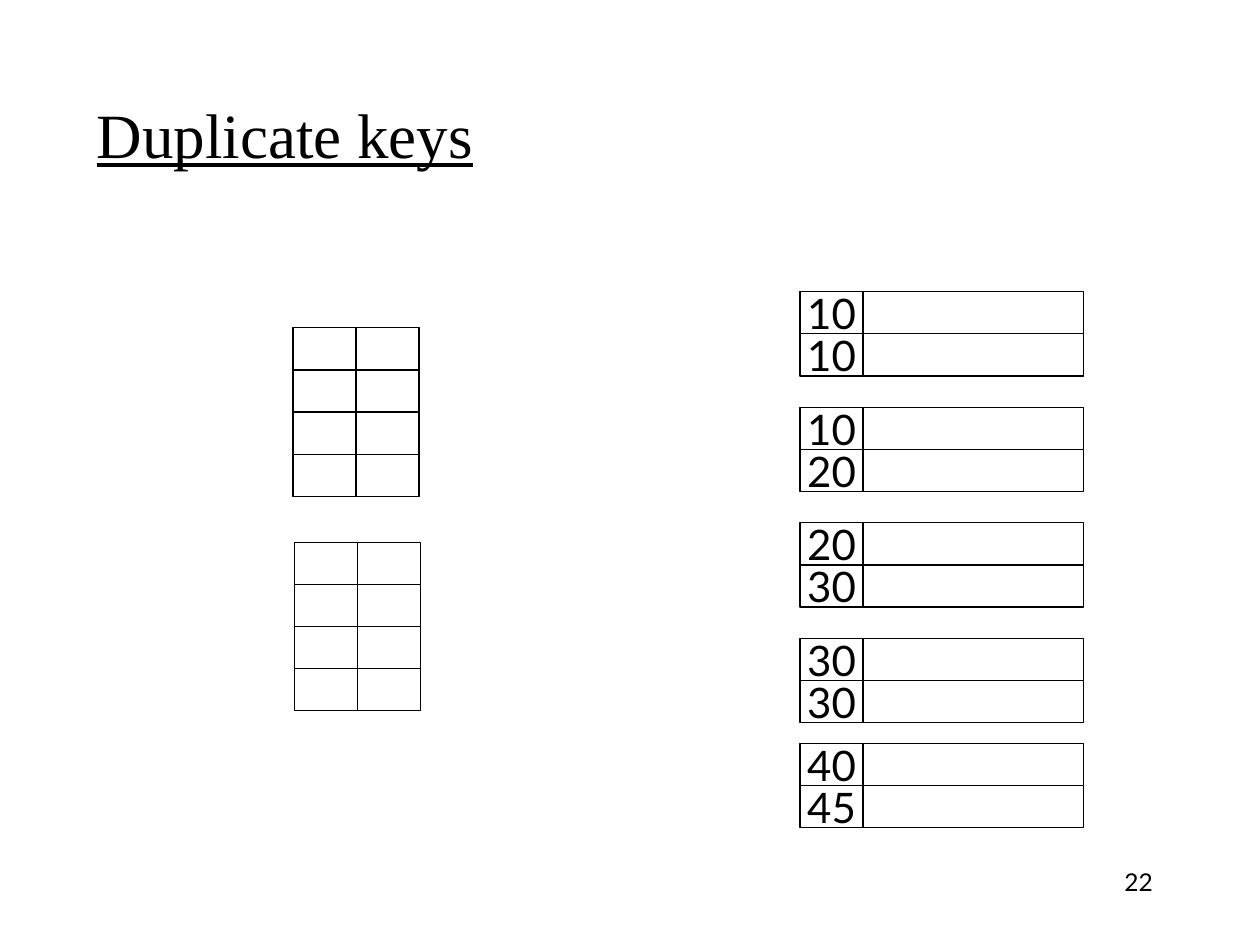
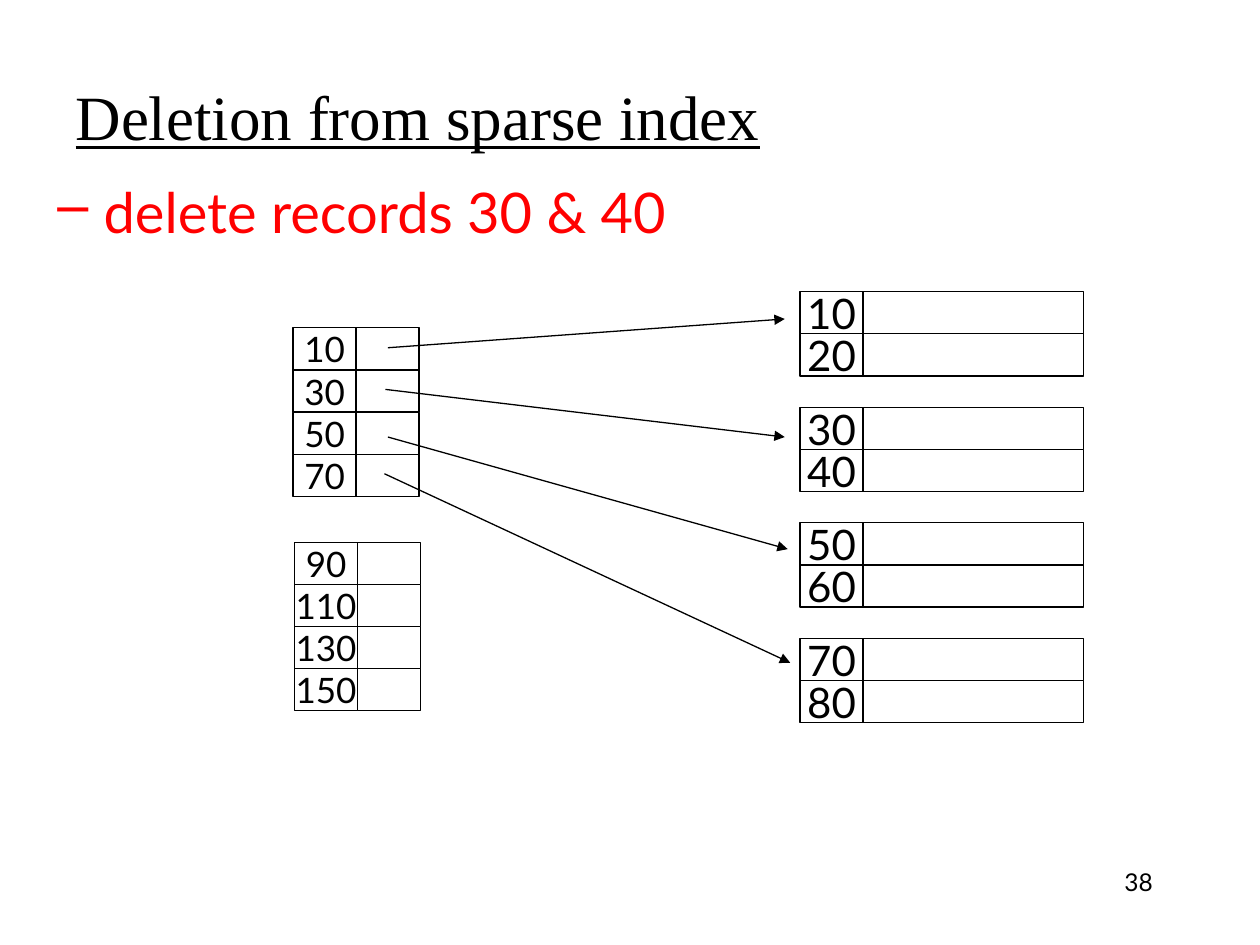
from dataclasses import dataclass

from lxml.etree import SubElement
from pptx import Presentation
from pptx.dml.color import RGBColor
from pptx.enum.shapes import MSO_CONNECTOR as Connector, MSO_SHAPE as Shape
from pptx.enum.text import MSO_ANCHOR as Anchor, MSO_AUTO_SIZE as AutoSize, PP_ALIGN as Align
from pptx.oxml.ns import qn
from pptx.util import Cm, Pt


@dataclass(frozen=True)
class Theme:
    ink: RGBColor = RGBColor(0, 0, 0)
    paper: RGBColor = RGBColor(255, 255, 255)
    accent: RGBColor = RGBColor(255, 0, 0)
    title_font: str = "Times New Roman"
    body_font: str = "Lato"
    title_size: int = 36
    task_size: int = 32
    record_size: int = 24
    index_size: int = 20
    number_size: int = 14
    line_width: float = 0.75


THEME = Theme()
TITLE_ONLY = 5

# Lengths in centimetres
ROW_HEIGHT = 0.85
KEY_WIDTH = 1.27
POINTER_WIDTH = 1.27
RECORD_WIDTH = 4.45
RECORD_LEFT = 16.13
RECORD_TOP = 5.88
RECORD_STEP = 2.33
LAST_RECORD_TOP = 14.99
INDEX_CORNERS = [(5.91, 6.61), (5.94, 10.93)]

# Each arrow: start x, start y, end x, end y
INDEX_ARROWS = [
    (7.82, 7.01, 15.82, 6.43),
    (7.77, 7.85, 15.82, 8.81),
    (7.82, 8.81, 15.88, 11.07),
    (7.75, 9.55, 15.93, 13.36),
]


def style_runs(para, size, color=THEME.ink, font=THEME.body_font, underline=None):
    for span in para.runs:
        span.font.size = Pt(size)
        span.font.name = font
        span.font.color.rgb = color
        span.font.underline = underline


def add_titled_page(deck, title, bounds, number):
    page = deck.slides.add_slide(deck.slide_layouts[TITLE_ONLY])
    box = page.shapes.title
    box.left, box.top, box.width, box.height = map(Cm, bounds)
    frame = box.text_frame
    frame.text = title
    frame.auto_size = AutoSize.NONE
    frame.vertical_anchor = Anchor.MIDDLE
    para = frame.paragraphs[0]
    para.alignment = Align.LEFT
    style_runs(para, THEME.title_size, font=THEME.title_font, underline=True)
    add_page_number(page, number)
    return page


def add_text_box(page, text, bounds):
    frame = page.shapes.add_textbox(*map(Cm, bounds)).text_frame
    frame.word_wrap = True
    frame.text = text
    return frame


def add_page_number(page, number):
    para = add_text_box(page, str(number), (18.2, 17.35, 5.29, 1.27)).paragraphs[0]
    para.alignment = Align.RIGHT
    style_runs(para, THEME.number_size)


def add_task(page, text):
    """Add a red line of text with a hanging dash."""
    frame = add_text_box(page, text, (0.91, 3.45, 13.3, 1.63))
    frame.vertical_anchor = Anchor.MIDDLE
    para = frame.paragraphs[0]
    properties = para._p.get_or_add_pPr()
    hang = Cm(0.93)
    properties.set("marL", str(hang))
    properties.set("indent", str(-hang))
    SubElement(properties, qn("a:buChar"), char="–")
    style_runs(para, THEME.task_size, THEME.accent)


def add_cell(group, left, top, width, text, size):
    cell = group.shapes.add_shape(
        Shape.RECTANGLE, Cm(left), Cm(top), Cm(width), Cm(ROW_HEIGHT))
    cell.shadow.inherit = False
    cell.fill.solid()
    cell.fill.fore_color.rgb = THEME.paper
    cell.line.color.rgb = THEME.ink
    cell.line.width = Pt(THEME.line_width)
    if text:
        frame = cell.text_frame
        frame.text = text
        frame.word_wrap = False
        frame.vertical_anchor = Anchor.MIDDLE
        para = frame.paragraphs[0]
        para.alignment = Align.CENTER
        style_runs(para, size)


def add_block(page, left, top, keys, value_width, size):
    """Stack one row per key: the key cell and an empty cell beside it."""
    group = page.shapes.add_group_shape()
    for row, key in enumerate(keys):
        row_top = top + row * ROW_HEIGHT
        add_cell(group, left, row_top, KEY_WIDTH, key, size)
        add_cell(group, left + KEY_WIDTH, row_top, value_width, "", size)


def add_record_block(page, top, keys):
    add_block(page, RECORD_LEFT, top, keys, RECORD_WIDTH, THEME.record_size)


def add_record_column(page, blocks):
    for position, keys in enumerate(blocks):
        add_record_block(page, RECORD_TOP + position * RECORD_STEP, keys)


def add_index(page, blocks):
    for (left, top), keys in zip(INDEX_CORNERS, blocks):
        add_block(page, left, top, keys, POINTER_WIDTH, THEME.index_size)


def add_arrow(page, ends):
    arrow = page.shapes.add_connector(Connector.STRAIGHT, *map(Cm, ends))
    arrow.line.color.rgb = THEME.ink
    arrow.line.width = Pt(THEME.line_width)
    SubElement(arrow.line._get_or_add_ln(), qn("a:tailEnd"), type="triangle")
    SubElement(arrow._element.spPr, qn("a:effectLst"))


def build_duplicate_keys(deck):
    page = add_titled_page(deck, "Duplicate keys", (1.7, 1.7, 9.32, 1.96), 22)
    add_record_column(
        page, [("10", "10"), ("10", "20"), ("20", "30"), ("30", "30")])
    add_record_block(page, LAST_RECORD_TOP, ("40", "45"))
    add_index(page, [("",) * 4] * 2)


def build_sparse_deletion(deck):
    page = add_titled_page(
        deck, "Deletion from sparse index", (1.27, 1.27, 21.59, 2.11), 38)
    add_record_column(
        page, [("10", "20"), ("30", "40"), ("50", "60"), ("70", "80")])
    add_index(page, [("10", "30", "50", "70"), ("90", "110", "130", "150")])
    for ends in INDEX_ARROWS:
        add_arrow(page, ends)
    add_task(page, "delete records 30 & 40")


def main():
    deck = Presentation()
    deck.slide_width, deck.slide_height = Cm(25.4), Cm(19.05)
    build_duplicate_keys(deck)
    build_sparse_deletion(deck)
    deck.save("out.pptx")


if __name__ == "__main__":
    main()
